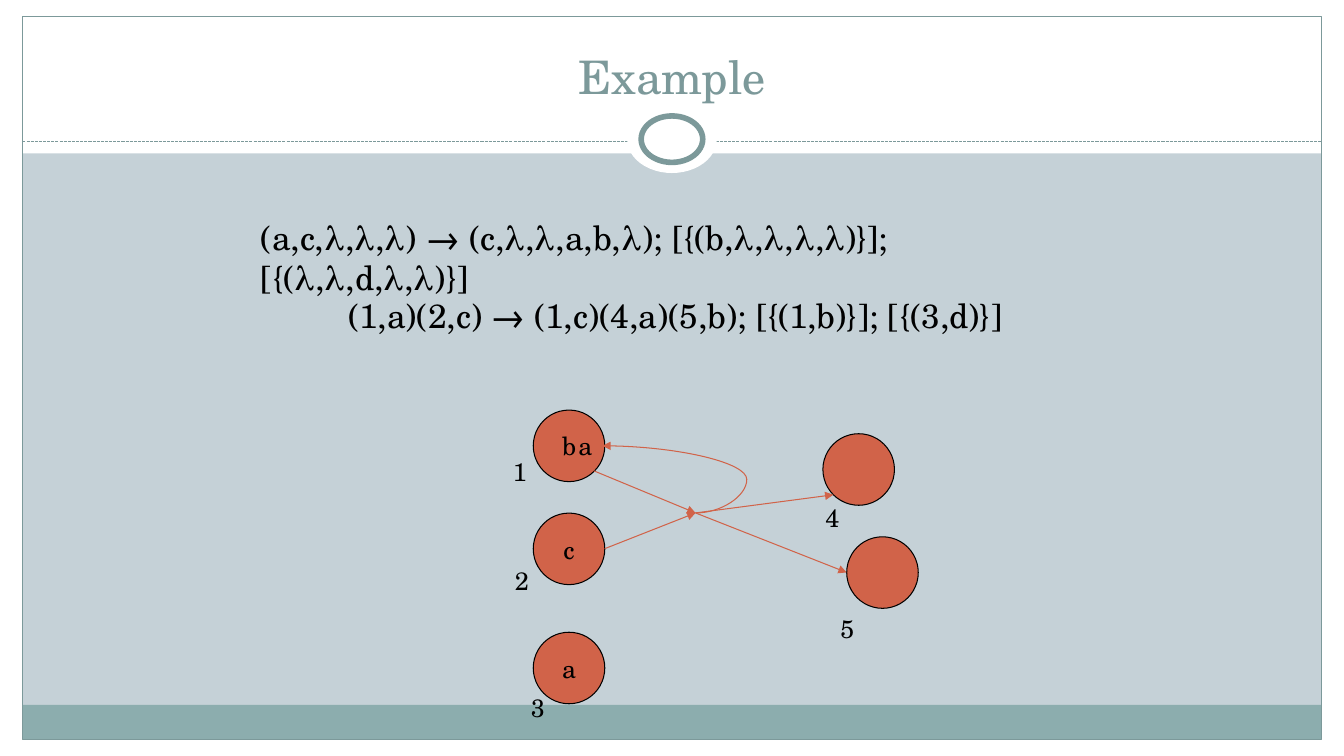
"""Build the slide showing one example rule and its five-membrane diagram."""
from dataclasses import dataclass
from typing import Optional

import lxml.etree
import pptx
import pptx.dml.color
import pptx.enum.dml
import pptx.enum.shapes
import pptx.enum.text
import pptx.oxml.ns
import pptx.util

Pt = pptx.util.Pt
RGBColor = pptx.dml.color.RGBColor
PresetShape = pptx.enum.shapes.MSO_SHAPE
Route = pptx.enum.shapes.MSO_CONNECTOR
Align = pptx.enum.text.PP_ALIGN
Anchor = pptx.enum.text.MSO_ANCHOR
AutoSize = pptx.enum.text.MSO_AUTO_SIZE
qn = pptx.oxml.ns.qn

FONT = "TeX Gyre Schola"
MIST = RGBColor(0xC5, 0xD1, 0xD7)
WHITE = RGBColor(0xFF, 0xFF, 0xFF)
BLACK = RGBColor(0x00, 0x00, 0x00)
TEAL = RGBColor(0x8C, 0xAD, 0xAE)
SLATE = RGBColor(0x7C, 0x99, 0x9A)
RUST = RGBColor(0xD1, 0x63, 0x49)

WIDTH, HEIGHT = 960, 540
MARGIN = 16
INNER_WIDTH = WIDTH - 2 * MARGIN
HAIRLINE = 0.75
CELL = 51.1
HUB = (496.8, 366.4)


@dataclass(frozen=True)
class Panel:
    left: float
    top: float
    width: float
    height: float
    fill: Optional[RGBColor] = WHITE
    line: Optional[RGBColor] = None
    weight: float = HAIRLINE
    preset: PresetShape = PresetShape.RECTANGLE


@dataclass(frozen=True)
class Label:
    text: str
    left: float
    top: float
    width: float
    height: float = 29.1
    size: float = 18
    wrap: bool = False


@dataclass(frozen=True)
class Membrane:
    left: float
    top: float
    content: str = ""


@dataclass(frozen=True)
class Arrow:
    start: tuple[float, float]
    end: tuple[float, float]


FRAME = [
    Panel(0, 528, WIDTH, 12),
    Panel(0, 0, WIDTH, 109.5),
    Panel(0, 0, MARGIN, HEIGHT),
    Panel(WIDTH - MARGIN, 0, MARGIN, HEIGHT),
    Panel(MARGIN, 503.5, INNER_WIDTH, 24.5, fill=TEAL),
    Panel(MARGIN, 12, INNER_WIDTH, 516, fill=None, line=SLATE),
]
MEDALLION = [
    Panel(448, 75.6, 64, 48, preset=PresetShape.OVAL),
    Panel(458, 82.8, 44, 33.2, line=SLATE, weight=4, preset=PresetShape.OVAL),
]
MEMBRANES = [
    Membrane(380.9, 292.9, "b"),
    Membrane(380.9, 366.5),
    Membrane(380.9, 451.6, "a"),
    Membrane(587.8, 309.8),
    Membrane(604.8, 383.4),
]
LABELS = [
    Label("1", 359.3, 322.6, 22.3),
    Label("2", 360.7, 400.3, 24.5),
    Label("3", 372.2, 491, 24.5),
    Label("4", 582.5, 355, 24.5),
    Label("5", 593.3, 434.2, 24.5),
    Label("(1,a)(2,c) → (1,c)(4,a)(5,b); [{(1,b)}]; [{(3,d)}]",
          241.9, 207.4, 497.5, 36, size=24),
    Label("(a,c,λ,λ,λ) → (c,λ,λ,a,b,λ); [{(b,λ,λ,λ,λ)}]; [{(λ,λ,d,λ,λ)}]",
          179.3, 151.2, 595.4, 36, size=24, wrap=True),
    Label("a", 406.1, 303.8, 23.8),
    Label("c", 395.3, 378, 23),
]
ARROWS = [
    Arrow((424.4, 336.4), HUB),
    Arrow((432, 391.9), HUB),
    Arrow(HUB, (595.3, 353.4)),
    Arrow(HUB, (604.8, 408.9)),
]
RETURN_TIP = (430.2, 318.4)


def write_text(frame, text: str, *, size: float = 18, color: RGBColor = BLACK,
               align: Align = Align.LEFT, anchor: Anchor = Anchor.TOP,
               wrap: bool = False, grow: bool = False) -> None:
    """Put one formatted run into a text frame."""
    frame.word_wrap = wrap
    frame.vertical_anchor = anchor
    frame.auto_size = AutoSize.SHAPE_TO_FIT_TEXT if grow else AutoSize.NONE
    paragraph = frame.paragraphs[0]
    paragraph.alignment = align
    run = paragraph.add_run()
    run.text = text
    run.font.name = FONT
    run.font.size = Pt(size)
    run.font.color.rgb = color


def draw_panel(shapes, panel: Panel):
    """Draw a preset shape with its fill and outline."""
    shape = shapes.add_shape(panel.preset, Pt(panel.left), Pt(panel.top),
                             Pt(panel.width), Pt(panel.height))
    shape.shadow.inherit = False
    if panel.fill is None:
        shape.fill.background()
    else:
        shape.fill.solid()
        shape.fill.fore_color.rgb = panel.fill
    if panel.line is None:
        shape.line.fill.background()
    else:
        shape.line.color.rgb = panel.line
        shape.line.width = Pt(panel.weight)
    return shape


def draw_membrane(shapes, membrane: Membrane) -> None:
    """Draw a round membrane and the object inside it."""
    circle = draw_panel(shapes, Panel(membrane.left, membrane.top, CELL, CELL,
                                      RUST, BLACK, preset=PresetShape.OVAL))
    if membrane.content:
        write_text(circle.text_frame, membrane.content,
                   align=Align.CENTER, anchor=Anchor.MIDDLE)


def draw_label(shapes, label: Label) -> None:
    """Draw a free-standing text box."""
    box = shapes.add_textbox(Pt(label.left), Pt(label.top),
                             Pt(label.width), Pt(label.height))
    write_text(box.text_frame, label.text, size=label.size,
               wrap=label.wrap, grow=True)


def draw_line(shapes, arrow: Arrow, *, color: RGBColor = RUST,
              route: Route = Route.STRAIGHT, head: bool = True):
    """Draw a thin connector, with an arrowhead at its end if wanted."""
    line = shapes.add_connector(route, *map(Pt, arrow.start + arrow.end))
    line.line.color.rgb = color
    line.line.width = Pt(HAIRLINE)
    properties = line._element.spPr
    lxml.etree.SubElement(properties, qn("a:effectLst"))
    if head:
        outline = properties.find(qn("a:ln"))
        lxml.etree.SubElement(outline, qn("a:tailEnd"), type="triangle")
    return line


def draw_return_arrow(shapes) -> None:
    """Draw the curve that leads from the hub back to membrane 1."""
    curve = draw_line(shapes, Arrow(RETURN_TIP, HUB), route=Route.CURVE)
    properties = curve._element.spPr
    properties.find(qn("a:xfrm")).set("rot", "10800000")
    geometry = properties.find(qn("a:prstGeom"))
    guides = geometry.find(qn("a:avLst"))
    lxml.etree.SubElement(guides, qn("a:gd"), name="adj1", fmla="val -55000")


def main() -> None:
    """Assemble the slide and save it."""
    deck = pptx.Presentation()
    deck.slide_width, deck.slide_height = Pt(WIDTH), Pt(HEIGHT)
    slide = deck.slides.add_slide(deck.slide_layouts[6])
    slide.background.fill.solid()
    slide.background.fill.fore_color.rgb = MIST
    shapes = slide.shapes

    for panel in FRAME:
        draw_panel(shapes, panel)
    divider = draw_line(shapes, Arrow((MARGIN, 100.8), (WIDTH - MARGIN, 100.8)),
                        color=SLATE, head=False)
    divider.line.dash_style = pptx.enum.dml.MSO_LINE.SQUARE_DOT
    for panel in MEDALLION:
        draw_panel(shapes, panel)
    title = shapes.add_textbox(Pt(32), Pt(18), Pt(896), Pt(59.8))
    write_text(title.text_frame, "Example", size=33, color=SLATE,
               align=Align.CENTER, anchor=Anchor.BOTTOM, wrap=True)

    for membrane in MEMBRANES:
        draw_membrane(shapes, membrane)
    for label in LABELS:
        draw_label(shapes, label)
    for arrow in ARROWS:
        draw_line(shapes, arrow)
    draw_return_arrow(shapes)
    deck.save("out.pptx")


if __name__ == "__main__":
    main()
